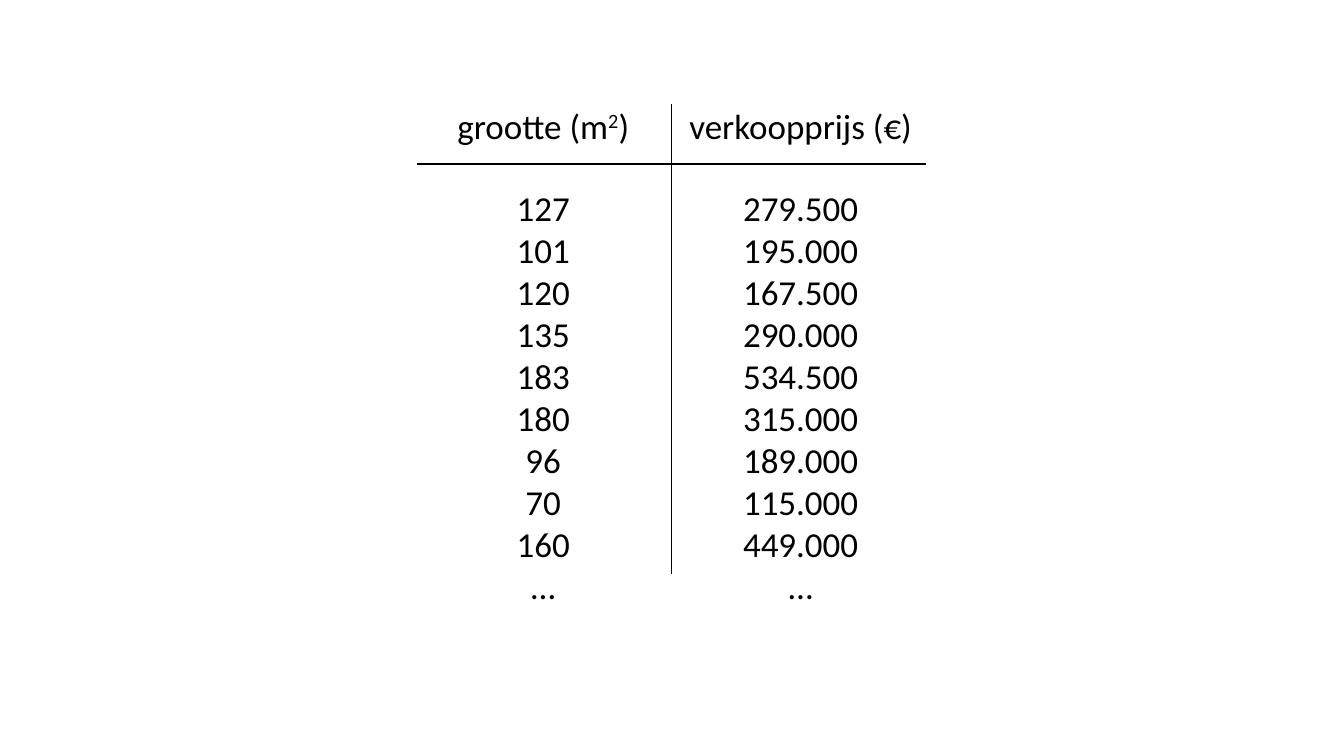
from lxml.etree import SubElement
from pptx import Presentation
from pptx.dml.color import RGBColor
from pptx.enum.shapes import MSO_CONNECTOR
from pptx.enum.text import MSO_ANCHOR, MSO_AUTO_SIZE, PP_ALIGN
from pptx.oxml.ns import qn
from pptx.util import Inches, Pt

COLORS = {"ink": "000000", "background": "FFFFFF"}
FRAME_FORMAT = {
    "word_wrap": False,
    "auto_size": MSO_AUTO_SIZE.SHAPE_TO_FIT_TEXT,
    "vertical_anchor": MSO_ANCHOR.MIDDLE,
    "margin_left": Inches(0.08),
    "margin_right": Inches(0.08),
    "margin_top": Inches(0.08),
    "margin_bottom": Inches(0.08),
}
FONT_FORMAT = {"name": "Calibri", "size": Pt(50)}
HEADER_TOP, HEADER_HEIGHT = 2.06, 0.86
VALUES_TOP, VALUES_HEIGHT = 3.57, 8.61
COLUMNS = [
    {
        "center": 10.78,
        "header": [("grootte (m", 0), ("2", 32), (")", 0)],
        "header_width": 3.61,
        "values": ["127", "101", "120", "135", "183", "180", "96", "70", "160", "…"],
        "values_width": 1.23,
    },
    {
        "center": 15.89,
        "header": [("verkoopprijs (€)", 0)],
        "header_width": 4.59,
        "values": ["279.500", "195.000", "167.500", "290.000", "534.500",
                   "315.000", "189.000", "115.000", "449.000", "…"],
        "values_width": 2.46,
    },
]


def apply_format(target, values):
    """Set each named attribute on the target."""
    for name, value in values.items():
        setattr(target, name, value)


def add_rule(slide, start, end):
    """Draw a straight black line between two points in inches."""
    points = [Inches(value) for value in (*start, *end)]
    connector = slide.shapes.add_connector(MSO_CONNECTOR.STRAIGHT, *points)
    connector.line.color.rgb = RGBColor.from_string(COLORS["ink"])
    connector.line.width = Pt(2)
    SubElement(connector._element.spPr, qn("a:effectLst"))


def add_run(paragraph, text, baseline):
    """Append a run, raised by a percentage of its size if asked."""
    run = paragraph.add_run()
    run.text = text
    apply_format(run.font, FONT_FORMAT)
    run.font.color.rgb = RGBColor.from_string(COLORS["ink"])
    if baseline:
        run._r.get_or_add_rPr().set("baseline", str(baseline * 1000))


def add_centered_text(slide, center, top, width, height, lines):
    """Add a text box around a column centre with one paragraph per line."""
    box = (center - width / 2, top, width, height)
    shape = slide.shapes.add_textbox(*[Inches(value) for value in box])
    frame = shape.text_frame
    apply_format(frame, FRAME_FORMAT)
    for index, runs in enumerate(lines):
        paragraph = frame.add_paragraph() if index else frame.paragraphs[0]
        paragraph.alignment = PP_ALIGN.CENTER
        for text, baseline in runs:
            add_run(paragraph, text, baseline)


def add_column(slide, column):
    """Add the header and the values of one column."""
    add_centered_text(slide, column["center"], HEADER_TOP, column["header_width"],
                      HEADER_HEIGHT, [column["header"]])
    add_centered_text(slide, column["center"], VALUES_TOP, column["values_width"],
                      VALUES_HEIGHT, [[(value, 0)] for value in column["values"]])


def main():
    """Build the slide with house sizes and prices."""
    presentation = Presentation()
    presentation.slide_width = Inches(26.67)
    presentation.slide_height = Inches(15)
    slide = presentation.slides.add_slide(presentation.slide_layouts[6])
    slide.background.fill.solid()
    slide.background.fill.fore_color.rgb = RGBColor.from_string(COLORS["background"])
    add_rule(slide, (13.33, 11.38), (13.33, HEADER_TOP))
    add_rule(slide, (8.28, 3.25), (18.38, 3.25))
    for column in COLUMNS:
        add_column(slide, column)
    presentation.save("out.pptx")


if __name__ == "__main__":
    main()
